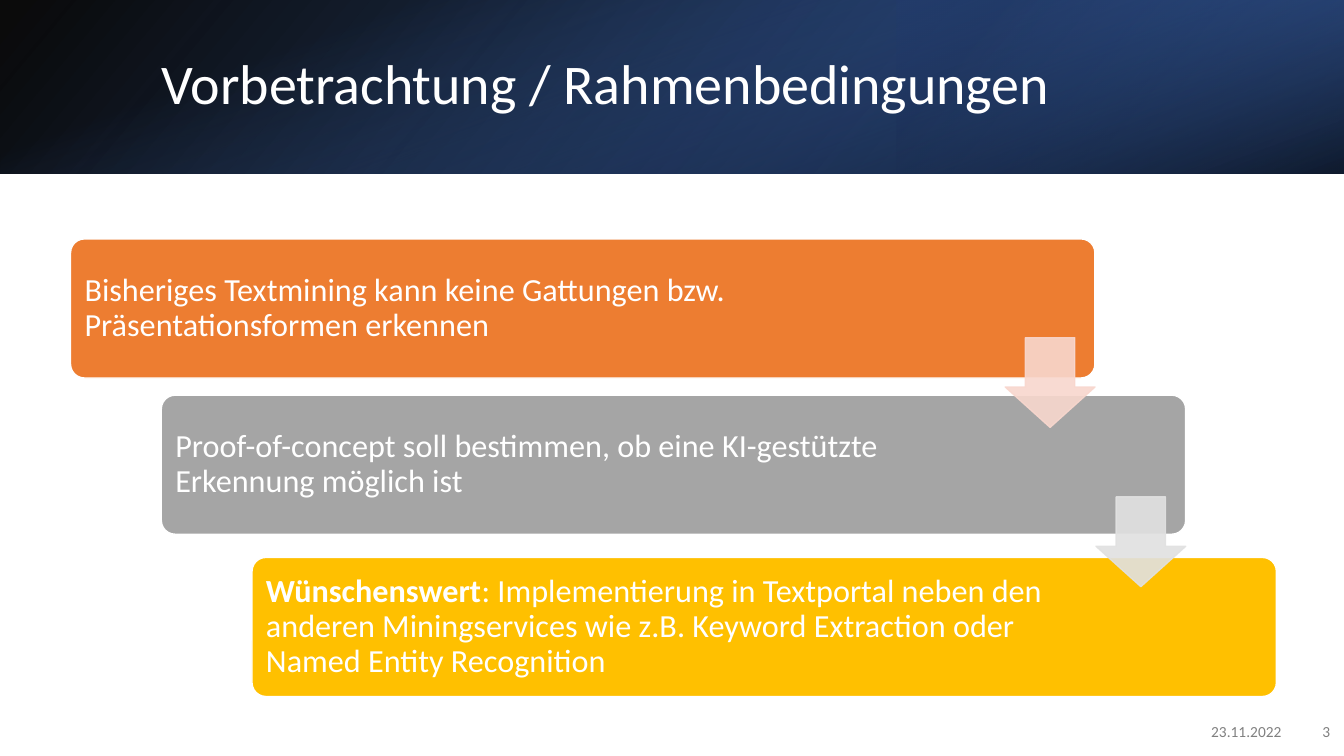
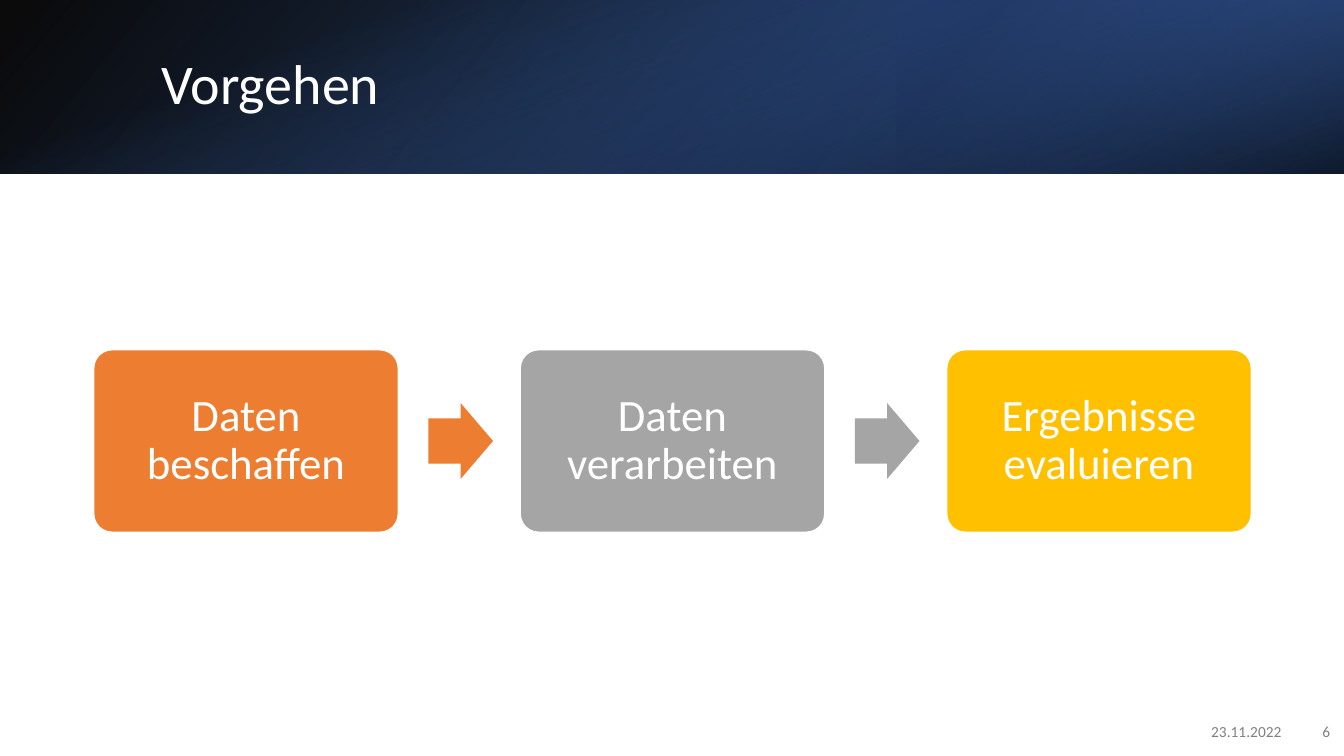
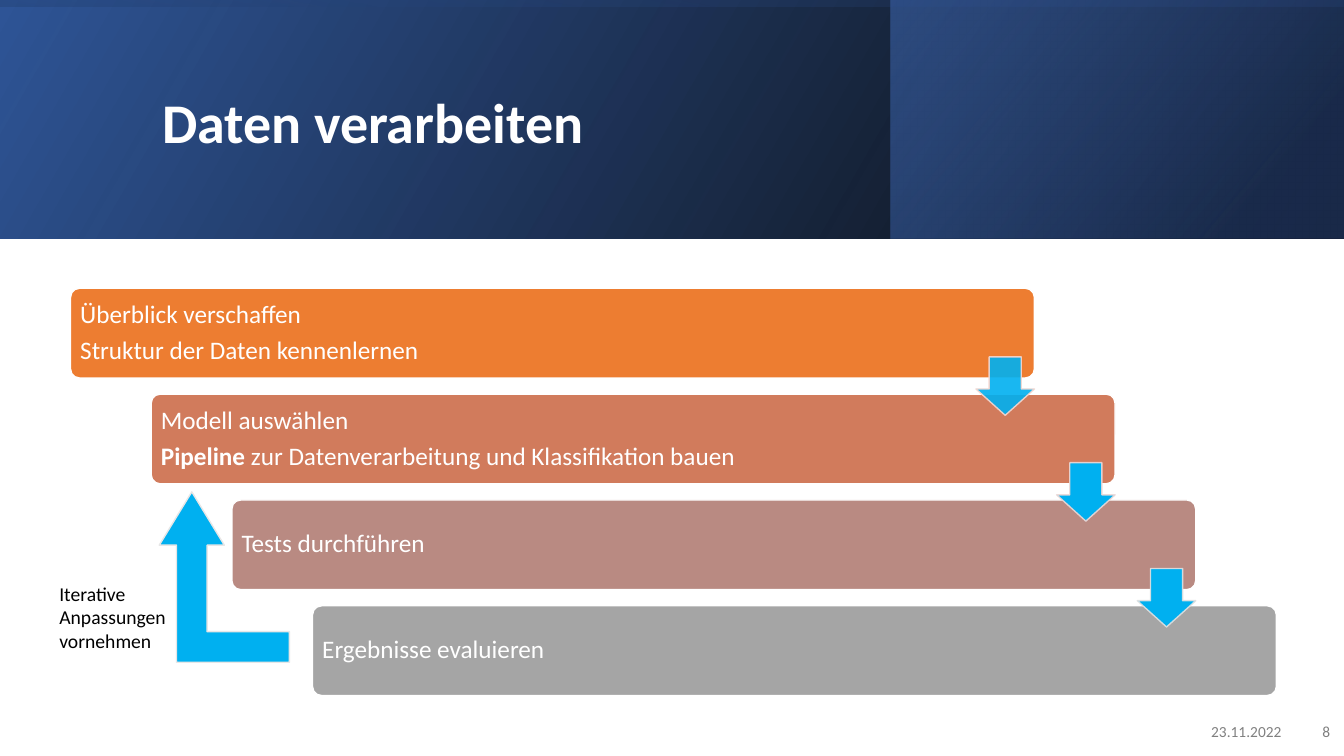
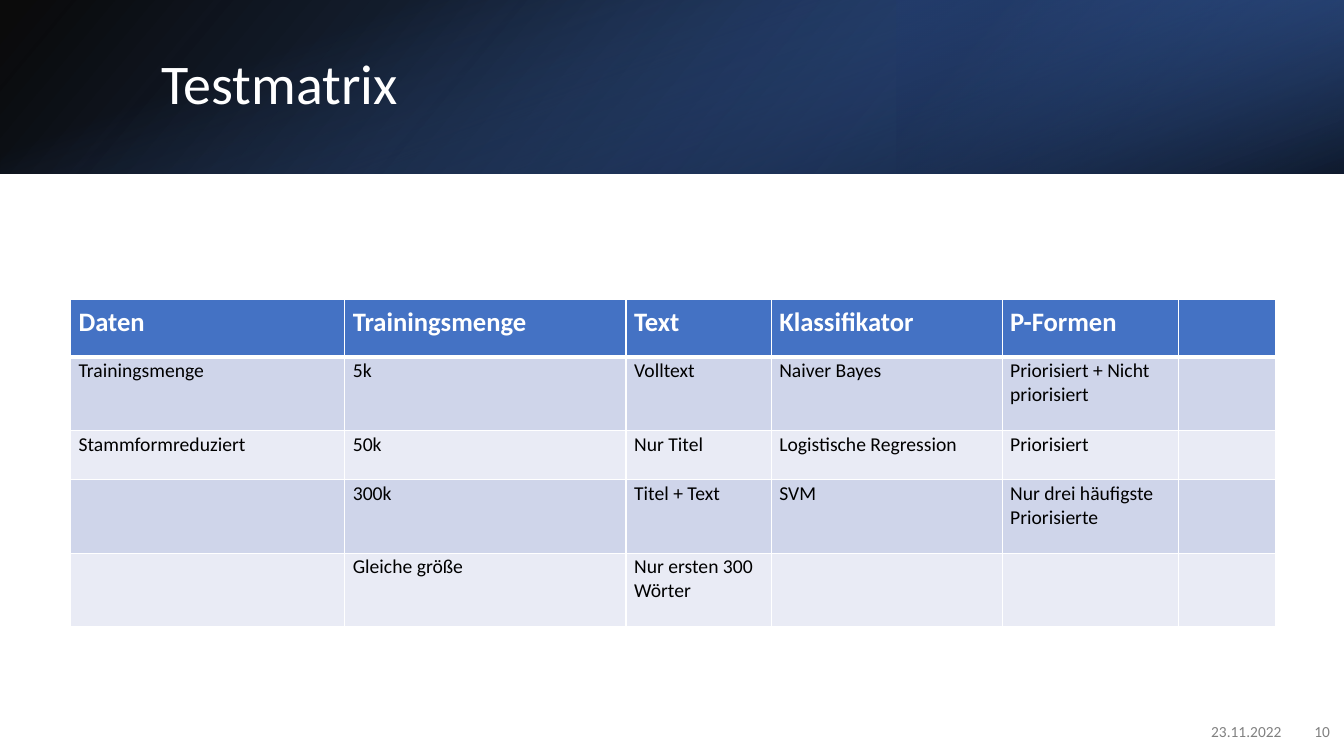
from dataclasses import dataclass
from typing import NamedTuple

from lxml.etree import SubElement
from pptx import Presentation
from pptx.dml.color import RGBColor
from pptx.enum.shapes import MSO_SHAPE
from pptx.enum.text import MSO_ANCHOR, MSO_AUTO_SIZE, PP_ALIGN
from pptx.oxml import parse_xml
from pptx.oxml.ns import nsdecls, qn
from pptx.util import Inches, Pt

SLIDE_WIDTH, SLIDE_HEIGHT = 13.33, 7.5
MARGIN = 0.7
FONT = "Calibri"
DATE = "23.11.2022"
TITLE_ONLY = 5

WHITE, BLACK, FOOTER_GRAY = "FFFFFF", "000000", "808080"
ORANGE, GRAY, GOLD = "ED7D31", "A5A5A5", "FFC000"
BLUE, DEEP_BLUE, NAVY, SKY = "4472C4", "2F5597", "203864", "00B0F0"
PALE_ORANGE, PALE_ROSE, PALE_GRAY = "F8D7CE", "EDD9D7", "E1E1E1"


class Box(NamedTuple):
    """Left, top, width and height in inches."""
    left: float
    top: float
    width: float
    height: float

    def lengths(self) -> tuple:
        return tuple(Inches(length) for length in self)


class Stop(NamedTuple):
    position: float
    color: str
    opacity: int


@dataclass(frozen=True)
class Band:
    """Gradient strip at the top; left is a share of the slide's width."""
    angle: int
    stops: tuple[Stop, Stop]
    left: float = 0
    rotation: int = 0
    flipped: bool = True


@dataclass(frozen=True)
class Header:
    """Height is a share of the slide's height."""
    height: float
    bands: tuple[Band, ...]
    title_box: Box
    bold: bool = False


@dataclass(frozen=True)
class Step:
    lines: tuple[str, ...]
    fill: str
    arrow_fill: str = ""
    arrow_line: str = ""
    arrow_opacity: int = 90
    lift: float = 0


@dataclass(frozen=True)
class Staircase:
    first: Box
    indent: float
    pitch: float
    arrow_size: float
    arrow_drop: float
    font_size: int
    inset: float
    right_inset: float


DARK = (Stop(0, BLACK, 96), Stop(1, DEEP_BLUE, 100))
SLIM_HEADER = Header(
    0.23,
    (
        Band(140, DARK),
        Band(320, (Stop(0.19, NAVY, 68), Stop(1, BLUE, 79)), left=0.667, rotation=180),
        Band(340, (Stop(0.23, BLUE, 0), Stop(0.99, BLACK, 74)), rotation=90, flipped=False),
    ),
    Box(1.5, 0.38, 10.98, 0.96),
)
TALL_HEADER = Header(
    0.316,
    (
        Band(330, DARK),
        Band(320, (Stop(0.19, NAVY, 68), Stop(1, BLUE, 48)), left=0.663),
        Band(350, (Stop(0.23, DEEP_BLUE, 16), Stop(0.99, BLACK, 45)), rotation=270),
    ),
    Box(1.51, 0.38, 10.63, 1.72),
    bold=True,
)

CONDITIONS = (
    Step(("Bisheriges Textmining kann keine Gattungen bzw. Präsentationsformen erkennen",),
         ORANGE, PALE_ORANGE, PALE_ORANGE),
    Step(("Proof-of-concept soll bestimmen, ob eine KI-gestützte Erkennung möglich ist",),
         GRAY, PALE_GRAY, PALE_GRAY, lift=0.03),
    Step(("**Wünschenswert**: Implementierung in Textportal neben den anderen "
          "Miningservices wie z.B. Keyword Extraction oder Named Entity Recognition",), GOLD),
)
CONDITION_STAIRS = Staircase(Box(MARGIN, 2.37, 10.16, 1.38), 0.9, 1.58, 0.89, 0.98, 23, 0.1, 1.85)

PROCESSING = (
    Step(("Überblick verschaffen", "Struktur der Daten kennenlernen"), ORANGE, SKY, PALE_ORANGE),
    Step(("Modell auswählen", "**Pipeline **zur Datenverarbeitung und Klassifikation bauen"),
         "D17B5C", SKY, PALE_ROSE, 100),
    Step(("Tests durchführen",), "B98A82", SKY, PALE_GRAY, 100),
    Step(("Ergebnisse evaluieren",), GRAY),
)
PROCESSING_STAIRS = Staircase(Box(MARGIN, 2.86, 9.56, 0.89), 0.8, 1.05, 0.58, 0.68, 18, 0.07, 1.4)

PHASES = (("Daten beschaffen", ORANGE), ("Daten verarbeiten", GRAY), ("Ergebnisse evaluieren", GOLD))

MATRIX = (
    ("Daten", "Trainingsmenge", "Text", "Klassifikator", "P-Formen", ""),
    ("Trainingsmenge", "5k", "Volltext", "Naiver Bayes", "Priorisiert + Nicht priorisiert", ""),
    ("Stammformreduziert", "50k", "Nur Titel", "Logistische Regression", "Priorisiert", ""),
    ("", "300k", "Titel + Text", "SVM", "Nur drei häufigste Priorisierte", ""),
    ("", "Gleiche größe", "Nur ersten 300 Wörter", "", "", ""),
)
COLUMN_WIDTHS = (2.72, 2.79, 1.44, 2.29, 1.75, 0.96)
ROW_HEIGHTS = (0.57, 0.73, 0.49, 0.73, 0.73)


def color(value: str) -> RGBColor:
    return RGBColor.from_string(value)


def set_opacities(shape, *percents: int) -> None:
    """Apply opacities to the shape's colours in order: fill first, then line."""
    for element, percent in zip(list(shape.element.spPr.iter(qn("a:srgbClr"))), percents):
        if percent < 100:
            SubElement(element, qn("a:alpha"), val=str(percent * 1000))


def flip(shape) -> None:
    shape.element.spPr.find(qn("a:xfrm")).set("flipH", "1")


def add_figure(slide, kind, box: Box, fill: str = "", line: str = "", adjustments: tuple = ()):
    shape = slide.shapes.add_shape(kind, *box.lengths())
    shape.shadow.inherit = False
    for index, value in enumerate(adjustments):
        shape.adjustments[index] = value
    if fill:
        shape.fill.solid()
        shape.fill.fore_color.rgb = color(fill)
    if line:
        shape.line.color.rgb = color(line)
        shape.line.width = Pt(1)
    else:
        shape.line.fill.background()
    return shape


def format_paragraph(paragraph, size: float, font_color: str, bold: bool = False,
                     align=PP_ALIGN.LEFT) -> None:
    paragraph.alignment = align
    for run in paragraph.runs:
        run.font.name = FONT
        run.font.size = Pt(size)
        run.font.color.rgb = color(font_color)
        run.font.bold = run.font.bold or bold


def write_lines(text_frame, lines: tuple[str, ...], size: float, font_color: str,
                align=PP_ALIGN.LEFT, line_spacing: float = 1, space_after: float = 0) -> None:
    """Write one paragraph per line; text between double asterisks is bold."""
    text_frame.word_wrap = True
    text_frame.text = "\n".join(line.replace("**", "") for line in lines)
    for paragraph, line in zip(text_frame.paragraphs, lines):
        if "**" in line:
            paragraph.clear()
            for index, piece in enumerate(line.split("**")):
                if piece:
                    run = paragraph.add_run()
                    run.text = piece
                    run.font.bold = index % 2 == 1
        paragraph.line_spacing = line_spacing
        paragraph.space_after = Pt(space_after)
        format_paragraph(paragraph, size, font_color, align=align)


def add_label(slide, box: Box, lines: tuple[str, ...], size: float, font_color: str,
              align=PP_ALIGN.LEFT, anchor=MSO_ANCHOR.TOP) -> None:
    text_frame = slide.shapes.add_textbox(*box.lengths()).text_frame
    text_frame.vertical_anchor = anchor
    write_lines(text_frame, lines, size, font_color, align)


def add_card(slide, box: Box, lines: tuple[str, ...], fill: str, size: float, inset: float,
             right_inset: float, align=PP_ALIGN.LEFT) -> None:
    card = add_figure(slide, MSO_SHAPE.ROUNDED_RECTANGLE, box, fill, WHITE, (0.1,))
    text_frame = card.text_frame
    text_frame.vertical_anchor = MSO_ANCHOR.MIDDLE
    text_frame.margin_left = text_frame.margin_top = text_frame.margin_bottom = Inches(inset)
    text_frame.margin_right = Inches(right_inset)
    write_lines(text_frame, lines, size, WHITE, align, 0.9, 0.35 * size)


def add_band(slide, band: Band, height: float) -> None:
    left = band.left * SLIDE_WIDTH
    width = SLIDE_WIDTH - left
    box = Box(left, 0, width, height)
    if band.rotation % 180:
        shift = (width - height) / 2
        box = Box(left + shift, -shift, height, width)
    shape = add_figure(slide, MSO_SHAPE.RECTANGLE, box)
    shape.rotation = band.rotation
    if band.flipped:
        flip(shape)
    shape.fill.gradient()
    shape.fill.gradient_angle = 360 - band.angle
    for target, stop in zip(shape.fill.gradient_stops, band.stops):
        target.position = stop.position
        target.color.rgb = color(stop.color)
    set_opacities(shape, *(stop.opacity for stop in band.stops))


def add_titled_slide(presentation, title_text: str, number: int, header: Header = SLIM_HEADER):
    slide = presentation.slides.add_slide(presentation.slide_layouts[TITLE_ONLY])
    for band in header.bands:
        add_band(slide, band, header.height * SLIDE_HEIGHT)

    title = slide.shapes.title
    slide.shapes.element.append(title.element)  # in front of the bands
    title.left, title.top, title.width, title.height = header.title_box.lengths()
    text_frame = title.text_frame
    text_frame.text = title_text
    text_frame.word_wrap = True
    text_frame.auto_size = MSO_AUTO_SIZE.NONE
    text_frame.vertical_anchor = MSO_ANCHOR.MIDDLE
    paragraph = text_frame.paragraphs[0]
    paragraph.line_spacing = 0.9
    format_paragraph(paragraph, 40, WHITE, header.bold)

    for box, text in ((Box(9.81, 7.06, 3, 0.4), DATE), (Box(12.8, 7.06, 0.49, 0.4), str(number))):
        add_label(slide, box, (text,), 11, FOOTER_GRAY, PP_ALIGN.RIGHT, MSO_ANCHOR.MIDDLE)
    return slide


def add_staircase(slide, stairs: Staircase, steps: tuple[Step, ...]) -> None:
    first = stairs.first
    boxes = [first._replace(left=first.left + index * stairs.indent,
                            top=first.top + index * stairs.pitch)
             for index in range(len(steps))]
    for box, step in zip(boxes, steps):
        add_card(slide, box._replace(top=box.top - step.lift), step.lines, step.fill,
                 stairs.font_size, stairs.inset, stairs.right_inset)
    size = stairs.arrow_size
    for box, step in zip(boxes, steps):
        if step.arrow_fill:
            arrow_box = Box(box.left + box.width - size, box.top + stairs.arrow_drop, size, size)
            arrow = add_figure(slide, MSO_SHAPE.DOWN_ARROW, arrow_box, step.arrow_fill,
                               step.arrow_line, (0.55, 0.45))
            set_opacities(arrow, step.arrow_opacity, 90)


def add_phases(slide) -> None:
    card, pitch = Box(0.93, 3.47, 3.02, 1.81), 4.23
    arrow = Box(4.25, 4, 0.64, 0.75)
    for index, (text, fill) in enumerate(PHASES):
        offset = index * pitch
        add_card(slide, card._replace(left=card.left + offset), (text,), fill, 32, 0.13, 0.13,
                 PP_ALIGN.CENTER)
        if index < len(PHASES) - 1:
            add_figure(slide, MSO_SHAPE.RIGHT_ARROW, arrow._replace(left=arrow.left + offset),
                       fill, adjustments=(0.6, 0.5))


def add_iteration_loop(slide) -> None:
    arrow = add_figure(slide, MSO_SHAPE.BENT_UP_ARROW, Box(1.58, 4.88, 1.29, 1.69), SKY, "E7E6E6",
                       (0.235, 0.25, 0.41))
    flip(arrow)
    add_label(slide, Box(0.49, 5.72, 2.17, 0.81), ("Iterative", "Anpassungen", "vornehmen"),
              14, BLACK)


def set_borders(cell, row_index: int) -> None:
    """White borders, thicker below the header row."""
    widths = {"L": 1, "R": 1, "T": 3 if row_index == 1 else 1, "B": 3 if row_index == 0 else 1}
    properties = cell._tc.get_or_add_tcPr()
    for position, (side, width) in enumerate(widths.items()):
        properties.insert(position, parse_xml(
            f'<a:ln{side} {nsdecls("a")} w="{Pt(width)}"><a:solidFill>'
            f'<a:srgbClr val="{WHITE}"/></a:solidFill></a:ln{side}>'))


def add_matrix(slide) -> None:
    box = Box(MARGIN, 2.97, sum(COLUMN_WIDTHS), sum(ROW_HEIGHTS))
    table = slide.shapes.add_table(len(MATRIX), len(COLUMN_WIDTHS), *box.lengths()).table
    for column, width in zip(table.columns, COLUMN_WIDTHS):
        column.width = Inches(width)
    for row_index, (row, height, texts) in enumerate(zip(table.rows, ROW_HEIGHTS, MATRIX)):
        row.height = Inches(height)
        is_header = row_index == 0
        fill = BLUE if is_header else ("E9EBF5", "CFD5EA")[row_index % 2]
        for cell, text in zip(row.cells, texts):
            cell.fill.solid()
            cell.fill.fore_color.rgb = color(fill)
            set_borders(cell, row_index)
            if not text:
                continue
            cell.margin_left, cell.margin_top = Inches(0.08), Inches(0.02)
            cell.margin_right, cell.margin_bottom = Inches(0.07), Inches(0.18)
            cell.vertical_anchor = MSO_ANCHOR.BOTTOM if is_header else MSO_ANCHOR.TOP
            cell.text_frame.text = text
            format_paragraph(cell.text_frame.paragraphs[0], 19 if is_header else 14,
                             WHITE if is_header else BLACK, is_header)


def main() -> None:
    presentation = Presentation()
    presentation.slide_width = Inches(SLIDE_WIDTH)
    presentation.slide_height = Inches(SLIDE_HEIGHT)

    slide = add_titled_slide(presentation, "Vorbetrachtung / Rahmenbedingungen", 3)
    add_staircase(slide, CONDITION_STAIRS, CONDITIONS)

    slide = add_titled_slide(presentation, "Vorgehen", 6)
    add_phases(slide)

    slide = add_titled_slide(presentation, "Daten verarbeiten", 8, TALL_HEADER)
    add_staircase(slide, PROCESSING_STAIRS, PROCESSING)
    add_iteration_loop(slide)

    slide = add_titled_slide(presentation, "Testmatrix", 10)
    add_matrix(slide)

    presentation.save("out.pptx")


if __name__ == "__main__":
    main()
